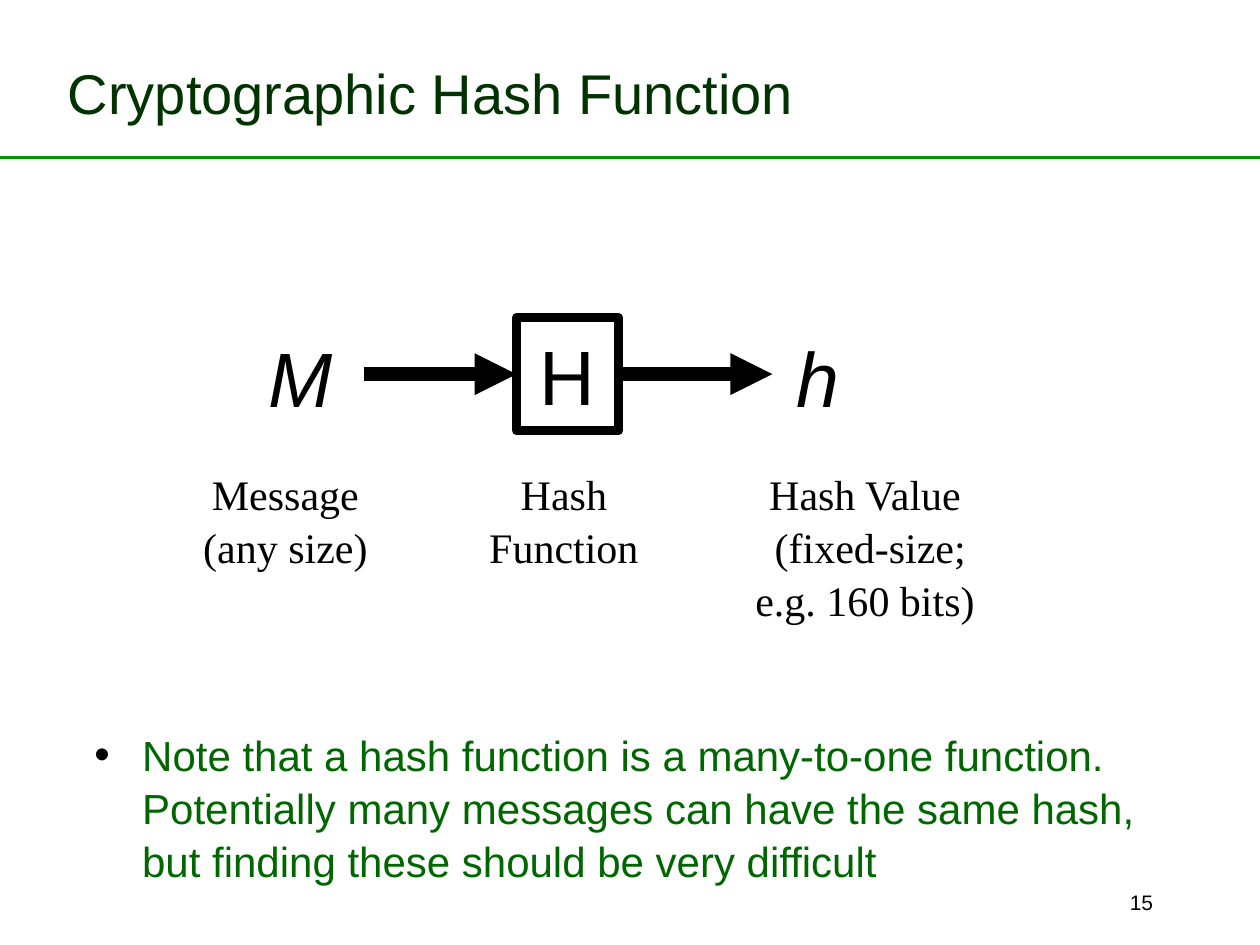
from lxml import etree
from pptx import Presentation
from pptx.dml.color import RGBColor
from pptx.enum.shapes import MSO_CONNECTOR, MSO_SHAPE
from pptx.enum.text import MSO_ANCHOR, PP_ALIGN
from pptx.oxml.ns import qn
from pptx.util import Inches, Pt

STRAIGHT = MSO_CONNECTOR.STRAIGHT
LEFT, CENTER, RIGHT = PP_ALIGN.LEFT, PP_ALIGN.CENTER, PP_ALIGN.RIGHT
TOP, MIDDLE = MSO_ANCHOR.TOP, MSO_ANCHOR.MIDDLE
BLACK = "000000"


def write(shape, text, size, color=BLACK, font="Arial", italic=False,
          align=CENTER, anchor=TOP, spacing=1.05, before=1.5):
    """Fill the shape with one formatted paragraph and return it."""
    frame = shape.text_frame
    frame.text = text
    frame.word_wrap = True
    frame.vertical_anchor = anchor
    paragraph = frame.paragraphs[0]
    paragraph_format = {"alignment": align, "line_spacing": spacing,
                        "space_before": Pt(before)}
    for name, value in paragraph_format.items():
        setattr(paragraph, name, value)
    for run in paragraph.runs:
        for name, value in {"name": font, "size": Pt(size), "italic": italic}.items():
            setattr(run.font, name, value)
        run.font.color.rgb = RGBColor.from_string(color)
    return paragraph


def add_line(x1, x2, y, color, width, arrow=False):
    line = slide.shapes.add_connector(STRAIGHT, Inches(x1), Inches(y), Inches(x2), Inches(y))
    line.line.color.rgb = RGBColor.from_string(color)
    line.line.width = Pt(width)
    if arrow:
        etree.SubElement(line.line._get_or_add_ln(), qn("a:tailEnd"), type="triangle")
    etree.SubElement(line._element.spPr, qn("a:effectLst"))
    return line


prs = Presentation()
prs.slide_width, prs.slide_height = Inches(10), Inches(7.5)
slide = prs.slides.add_slide(prs.slide_layouts[6])

# Heading, rule and page number
add_line(10, 0, 1.25, "009900", 2.25)
title = slide.shapes.add_textbox(Inches(0.44), Inches(0.21), Inches(8.97), Inches(1.04))
write(title, "Cryptographic Hash Function", 32, "003300",
      align=LEFT, anchor=MIDDLE, spacing=1.0, before=0)
page_number = slide.shapes.add_textbox(Inches(7.17), Inches(7.01), Inches(2.08), Inches(0.32))
write(page_number, "15", 12, align=RIGHT, spacing=1.0, before=0)

# Hash function with its input and output
hash_box = slide.shapes.add_shape(MSO_SHAPE.RECTANGLE, Inches(4.1), Inches(2.52),
                                  Inches(0.81), Inches(0.9))
hash_box.shadow.inherit = False
hash_box.fill.background()
hash_box.line.color.rgb = RGBColor.from_string(BLACK)
hash_box.line.width = Pt(5)
write(hash_box, "H", 44)

message_arrow = add_line(2.89, 4.1, 2.97, BLACK, 8, arrow=True)
message_arrow.end_connect(hash_box, 1)
value_arrow = add_line(4.91, 6.13, 2.97, BLACK, 8, arrow=True)
value_arrow.begin_connect(hash_box, 3)

for symbol, left, width in [("M", 1.98, 0.81), ("h", 6.01, 0.97)]:
    symbol_box = slide.shapes.add_textbox(Inches(left), Inches(2.54), Inches(width), Inches(0.83))
    write(symbol_box, symbol, 44, italic=True)

captions = [
    ("Message\v(any size)", 1.47, 1.59, 0.9),
    ("Hash Function", 3.68, 1.59, 0.9),
    ("Hash Value\v (fixed-size; e.g. 160 bits)", 5.69, 2.35, 1.3),
]
for caption, left, width, height in captions:
    caption_box = slide.shapes.add_textbox(Inches(left), Inches(3.65),
                                           Inches(width), Inches(height))
    write(caption_box, caption, 24, font="Times New Roman")

# Bulleted note
note_box = slide.shapes.add_textbox(Inches(0.65), Inches(5.72), Inches(8.79), Inches(1.42))
note = write(note_box, "Note that a hash function is a many-to-one function. "
             "Potentially many messages can have the same hash, "
             "but finding these should be very difficult", 24, "006600", align=LEFT)
note_properties = note._p.get_or_add_pPr()
note_properties.set("marL", str(Inches(0.38)))
note_properties.set("indent", str(-Inches(0.38)))
bullet_color = etree.SubElement(note_properties, qn("a:buClr"))
etree.SubElement(bullet_color, qn("a:srgbClr"), val=BLACK)
etree.SubElement(note_properties, qn("a:buSzPct"), val="105000")
etree.SubElement(note_properties, qn("a:buFont"), typeface="Arial")
etree.SubElement(note_properties, qn("a:buChar"), char="•")

prs.save("out.pptx")
